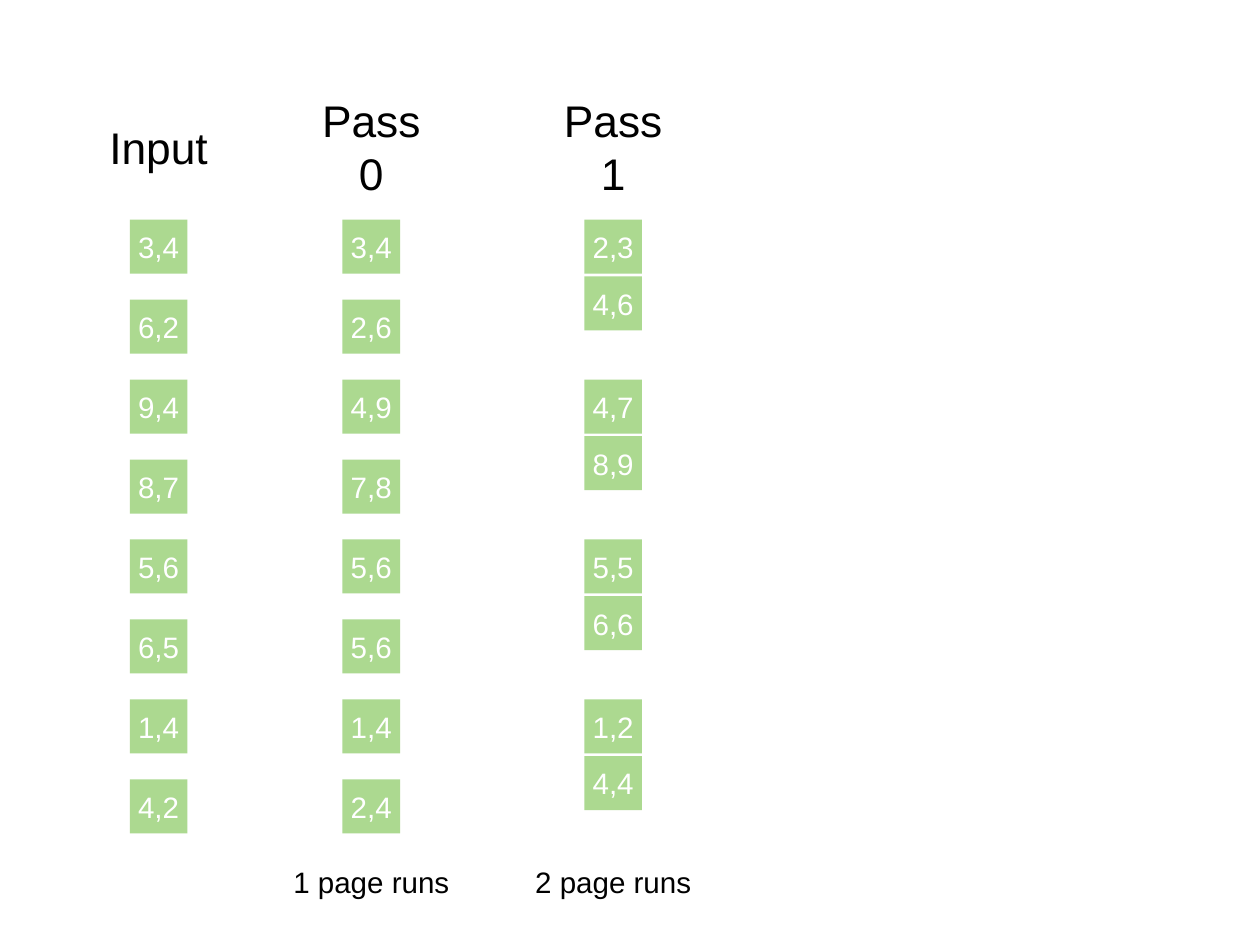
from dataclasses import dataclass

from lxml import etree
from pptx import Presentation
from pptx import util as u
from pptx.dml.color import RGBColor
from pptx.enum import shapes, text
from pptx.oxml.ns import qn


@dataclass(frozen=True)
class Theme:
    font: str = "Arial"
    page_fill: RGBColor = RGBColor(0x70, 0xBF, 0x41)
    page_opacity: int = 58
    page_ink: RGBColor = RGBColor(0xFF, 0xFF, 0xFF)
    ink: RGBColor = RGBColor(0x00, 0x00, 0x00)
    heading_size: int = 36
    body_size: int = 24


@dataclass(frozen=True)
class Stage:
    heading: str
    heading_width: float
    caption: str
    centre: float
    runs: list


PAGE_WIDTH, PAGE_HEIGHT = 0.65, 0.61
FIRST_TOP, LAST_TOP, ROWS = 2.48, 8.80, 8
ROW_PITCH = (LAST_TOP - FIRST_TOP) / (ROWS - 1)
PITCH_IN_RUN = 0.64
HEADING_TOP, HEADING_HEIGHT = 1.30, 0.71
CAPTION_TOP, CAPTION_WIDTH, CAPTION_HEIGHT = 9.70, 1.92, 0.51
LABEL_INSET = 0.06

STAGES = [
    Stage("Input", 1.26, "", 1.79,
          [["3,4"], ["6,2"], ["9,4"], ["8,7"], ["5,6"], ["6,5"], ["1,4"], ["4,2"]]),
    Stage("Pass 0", 1.63, "1 page runs", 4.19,
          [["3,4"], ["2,6"], ["4,9"], ["7,8"], ["5,6"], ["5,6"], ["1,4"], ["2,4"]]),
    Stage("Pass 1", 1.63, "2 page runs", 6.92,
          [["2,3", "4,6"], ["4,7", "8,9"], ["5,5", "6,6"], ["1,2", "4,4"]]),
]


class SortDiagram:
    def __init__(self, slide, theme):
        self.slide = slide
        self.theme = theme

    def fill_text(self, box, wording, size, colour, inset):
        frame = box.text_frame
        frame.vertical_anchor = text.MSO_ANCHOR.MIDDLE
        frame.margin_left = frame.margin_right = u.Inches(inset)
        frame.margin_top = frame.margin_bottom = u.Inches(inset)
        para = frame.paragraphs[0]
        para.alignment = text.PP_ALIGN.CENTER
        span = para.add_run()
        span.text = wording
        span.font.name = self.theme.font
        span.font.size = u.Pt(size)
        span.font.color.rgb = colour

    def add_label(self, wording, centre, top, width, height, size):
        box = self.slide.shapes.add_textbox(
            u.Inches(centre - width / 2), u.Inches(top),
            u.Inches(width), u.Inches(height))
        self.fill_text(box, wording, size, self.theme.ink, LABEL_INSET)
        box.text_frame.word_wrap = False
        box.text_frame.auto_size = text.MSO_AUTO_SIZE.SHAPE_TO_FIT_TEXT

    def add_page(self, values, centre, top):
        box = self.slide.shapes.add_shape(
            shapes.MSO_SHAPE.RECTANGLE,
            u.Inches(centre - PAGE_WIDTH / 2), u.Inches(top),
            u.Inches(PAGE_WIDTH), u.Inches(PAGE_HEIGHT))
        box.shadow.inherit = False
        box.line.fill.background()
        box.fill.solid()
        box.fill.fore_color.rgb = self.theme.page_fill
        colour = box.element.spPr.find(qn("a:solidFill"))[0]
        alpha = etree.SubElement(colour, qn("a:alpha"))
        alpha.set("val", str(self.theme.page_opacity * 1000))
        self.fill_text(box, values, self.theme.body_size, self.theme.page_ink, 0)

    def add_stage(self, stage):
        """Draw one column; a run of n pages takes the space of n rows."""
        self.add_label(stage.heading, stage.centre, HEADING_TOP,
                       stage.heading_width, HEADING_HEIGHT, self.theme.heading_size)
        row = 0
        for run in stage.runs:
            for position, values in enumerate(run):
                top = FIRST_TOP + row * ROW_PITCH + position * PITCH_IN_RUN
                self.add_page(values, stage.centre, top)
            row += len(run)
        if stage.caption:
            self.add_label(stage.caption, stage.centre, CAPTION_TOP,
                           CAPTION_WIDTH, CAPTION_HEIGHT, self.theme.body_size)


def main():
    deck = Presentation()
    deck.slide_width, deck.slide_height = u.Inches(14.22), u.Inches(10.67)
    diagram = SortDiagram(deck.slides.add_slide(deck.slide_layouts[6]), Theme())
    for stage in STAGES:
        diagram.add_stage(stage)
    deck.save("out.pptx")


if __name__ == "__main__":
    main()
